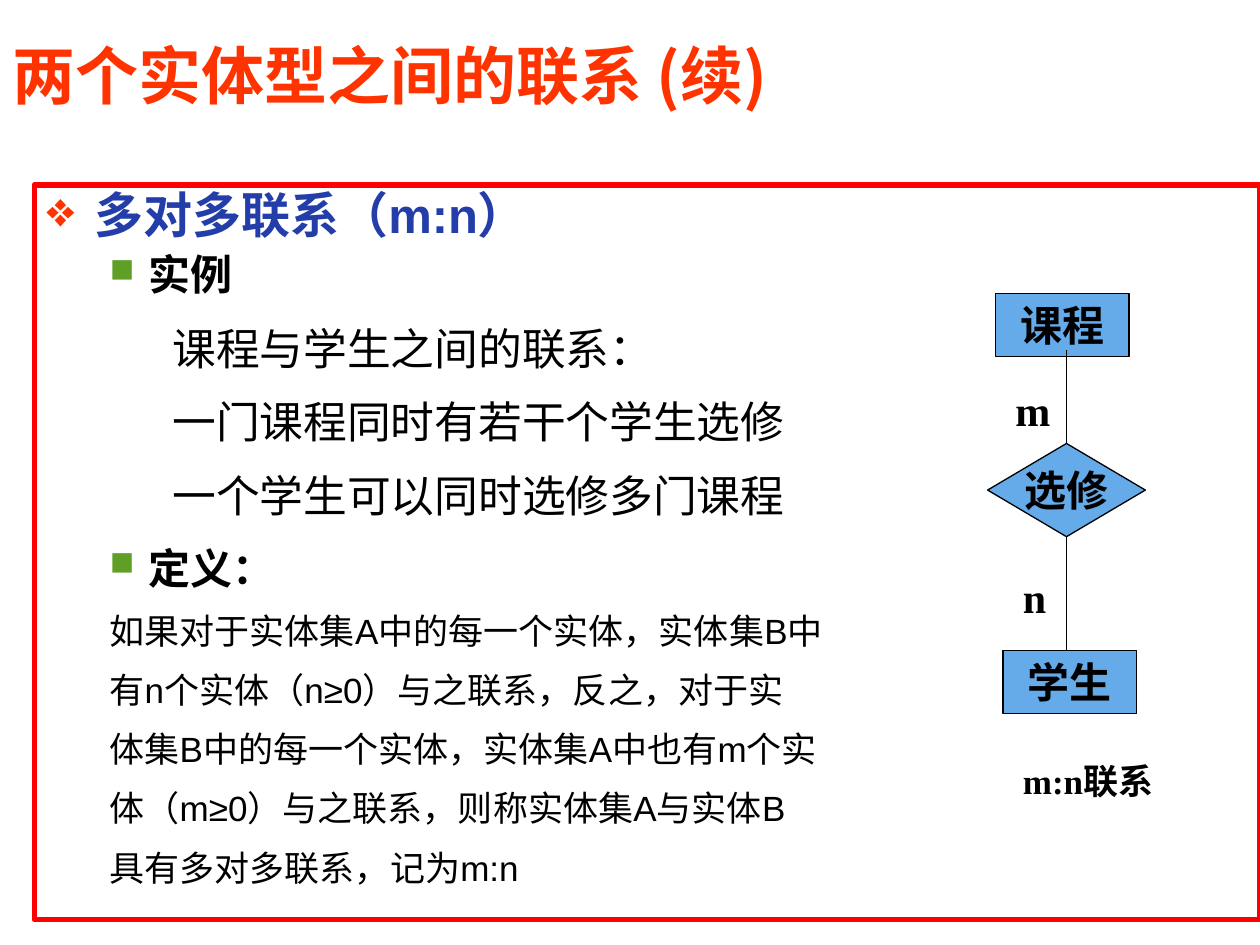
from dataclasses import dataclass

from lxml.etree import SubElement
from pptx import Presentation
from pptx.dml.color import RGBColor
from pptx.enum.shapes import MSO_CONNECTOR, MSO_SHAPE
from pptx.enum.text import MSO_ANCHOR, MSO_AUTO_SIZE, PP_ALIGN
from pptx.oxml.ns import qn
from pptx.util import Cm, Pt


@dataclass(frozen=True)
class Theme:
    title: str = "FF3300"
    heading: str = "233DA9"
    text: str = "000000"
    frame: str = "FF0000"
    node: str = "65AAE9"
    square: str = "5F9F25"
    title_size: float = 36
    heading_size: float = 28
    example_size: float = 25
    label_size: float = 24
    body_size: float = 20
    sans: str = "Arial"
    serif: str = "Times New Roman"
    chinese: str = "Noto Sans CJK SC"


THEME = Theme()

# Paragraph levels: indents in centimetres, bullet as (character, colour, percent)
HEADING = dict(left=0.97, hang=-0.97, bullet=("❖", THEME.title, 100),
               size=THEME.heading_size, color=THEME.heading, bold=True,
               format=dict(line_spacing=0.9))
TOPIC = dict(left=2.06, hang=-0.79, bullet=("■", THEME.square, 80),
             size=THEME.label_size, bold=True,
             format=dict(line_spacing=0.9, space_before=Pt(6)))
LATER_TOPIC = {**TOPIC, "format": dict(line_spacing=1.2, space_before=Pt(6))}
EXAMPLE = dict(left=3.18, hang=-0.64, size=THEME.example_size,
               format=dict(line_spacing=1.2, space_before=Pt(6.2)))
DEFINITION = dict(left=2.06, hang=-0.79, size=THEME.body_size,
                  format=dict(line_spacing=1.2, space_before=Pt(5)))

CONTENT = [
    ("多对多联系（m:n）", HEADING),
    ("实例", TOPIC),
    ("课程与学生之间的联系：", EXAMPLE),
    ("一门课程同时有若干个学生选修", EXAMPLE),
    ("一个学生可以同时选修多门课程", EXAMPLE),
    ("定义：", LATER_TOPIC),
    ("如果对于实体集A中的每一个实体，实体集B中", DEFINITION),
    ("有n个实体（n≥0）与之联系，反之，对于实", DEFINITION),
    ("体集B中的每一个实体，实体集A中也有m个实", DEFINITION),
    ("体（m≥0）与之联系，则称实体集A与实体B", DEFINITION),
    ("具有多对多联系，记为m:n", DEFINITION),
]


def set_attributes(target, values):
    for name, value in values.items():
        setattr(target, name, value)


def rgb(color):
    return RGBColor.from_string(color)


def place(box, left, top, width, height):
    set_attributes(box, dict(left=Cm(left), top=Cm(top),
                             width=Cm(width), height=Cm(height)))


def write(para, text, size, font, color=THEME.text, bold=False):
    span = para.add_run()
    span.text = text
    set_attributes(span.font, dict(name=font, size=Pt(size), bold=bold))
    span.font.color.rgb = rgb(color)
    SubElement(span.font._element, qn("a:ea"), typeface=THEME.chinese)


def set_indent(para, left, hang, bullet=None):
    properties = para._p.get_or_add_pPr()
    properties.set("marL", str(Cm(left)))
    properties.set("indent", str(Cm(hang)))
    if bullet is None:
        SubElement(properties, qn("a:buNone"))
        return
    character, color, percent = bullet
    bullet_color = SubElement(properties, qn("a:buClr"))
    SubElement(bullet_color, qn("a:srgbClr"), val=color)
    SubElement(properties, qn("a:buSzPct"), val=str(percent * 1000))
    SubElement(properties, qn("a:buChar"), char=character)


def add_title(page, text):
    title = page.shapes.title
    place(title, 0, 0.71, 20.52, 1.57)
    set_attributes(title.text_frame, dict(
        vertical_anchor=MSO_ANCHOR.MIDDLE, auto_size=MSO_AUTO_SIZE.NONE, word_wrap=True))
    para = title.text_frame.paragraphs[0]
    para.alignment = PP_ALIGN.LEFT
    write(para, text, THEME.title_size, THEME.chinese, THEME.title, True)


def add_shape(page, kind, area, fill, line, line_width):
    shape = page.shapes.add_shape(kind, *map(Cm, area))
    shape.shadow.inherit = False
    if fill:
        shape.fill.solid()
        shape.fill.fore_color.rgb = rgb(fill)
    else:
        shape.fill.background()
    shape.line.color.rgb = rgb(line)
    shape.line.width = Pt(line_width)
    return shape


def add_content(page, area, content):
    box = add_shape(page, MSO_SHAPE.RECTANGLE, area, None, THEME.frame, 3)
    frame = box.text_frame
    set_attributes(frame, dict(vertical_anchor=MSO_ANCHOR.TOP, word_wrap=True))
    for index, (text, level) in enumerate(content):
        para = frame.add_paragraph() if index else frame.paragraphs[0]
        set_indent(para, level["left"], level["hang"], level.get("bullet"))
        set_attributes(para, dict(alignment=PP_ALIGN.JUSTIFY, **level["format"]))
        write(para, text, level["size"], THEME.sans,
              level.get("color", THEME.text), level.get("bold", False))


def add_node(page, text, kind, area, anchor=MSO_ANCHOR.TOP, wrap=True):
    node = add_shape(page, kind, area, THEME.node, THEME.text, 0.75)
    set_attributes(node.text_frame, dict(vertical_anchor=anchor, word_wrap=wrap))
    para = node.text_frame.paragraphs[0]
    para.alignment = PP_ALIGN.CENTER
    write(para, text, THEME.label_size, THEME.serif, bold=True)
    return node


def add_label(page, text, area, size):
    box = page.shapes.add_textbox(*map(Cm, area))
    box.text_frame.word_wrap = True
    write(box.text_frame.paragraphs[0], text, size, THEME.serif, bold=True)


def add_link(page, node, side, x, start, end):
    link = page.shapes.add_connector(
        MSO_CONNECTOR.STRAIGHT, Cm(x), Cm(start), Cm(x), Cm(end))
    link.begin_connect(node, side)
    link.end_x = link.begin_x
    link.line.color.rgb = rgb(THEME.text)
    link.line.width = Pt(0.75)
    SubElement(link._element.spPr, qn("a:effectLst"))


def main():
    deck = Presentation()
    deck.slide_width, deck.slide_height = Cm(25.4), Cm(19.05)
    page = deck.slides.add_slide(deck.slide_layouts[5])

    # Title and framed text
    add_title(page, "两个实体型之间的联系 (续)")
    add_content(page, (0.69, 3.73, 24.71, 14.81), CONTENT)

    # Entity-relationship diagram
    add_node(page, "课程", MSO_SHAPE.RECTANGLE, (20.07, 5.92, 2.69, 1.27))
    relation = add_node(page, "选修", MSO_SHAPE.DIAMOND, (19.91, 8.94, 3.18, 1.88),
                        MSO_ANCHOR.MIDDLE, False)
    add_node(page, "学生", MSO_SHAPE.RECTANGLE, (20.22, 13.11, 2.69, 1.27))
    add_link(page, relation, 0, 21.5, 8.94, 7.06)
    add_link(page, relation, 2, 21.5, 10.82, 13.11)

    # Cardinalities and caption
    add_label(page, "m", (20.22, 7.62, 0.79, 1.27), THEME.label_size)
    add_label(page, "n", (20.37, 11.4, 0.79, 1.27), THEME.label_size)
    add_label(page, "m:n联系", (20.37, 15.19, 3.33, 1.12), THEME.body_size)

    deck.save("out.pptx")


if __name__ == "__main__":
    main()
